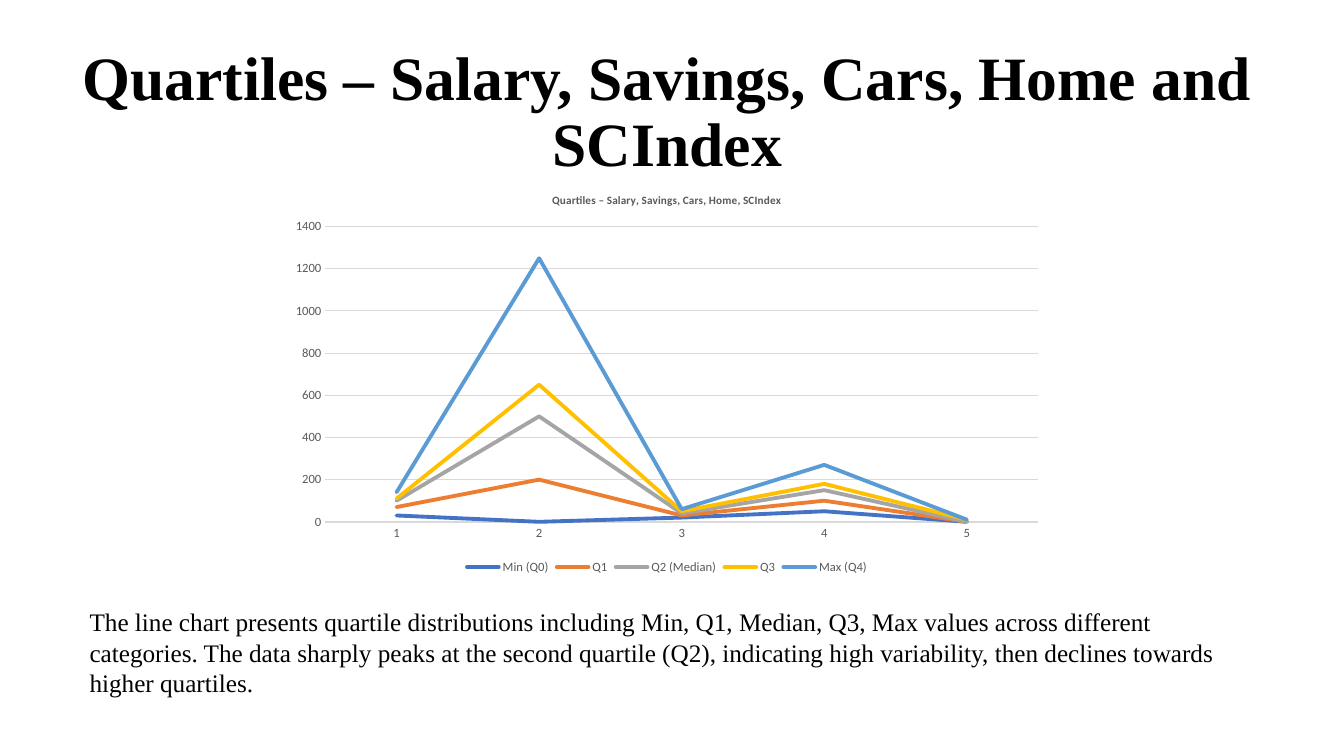
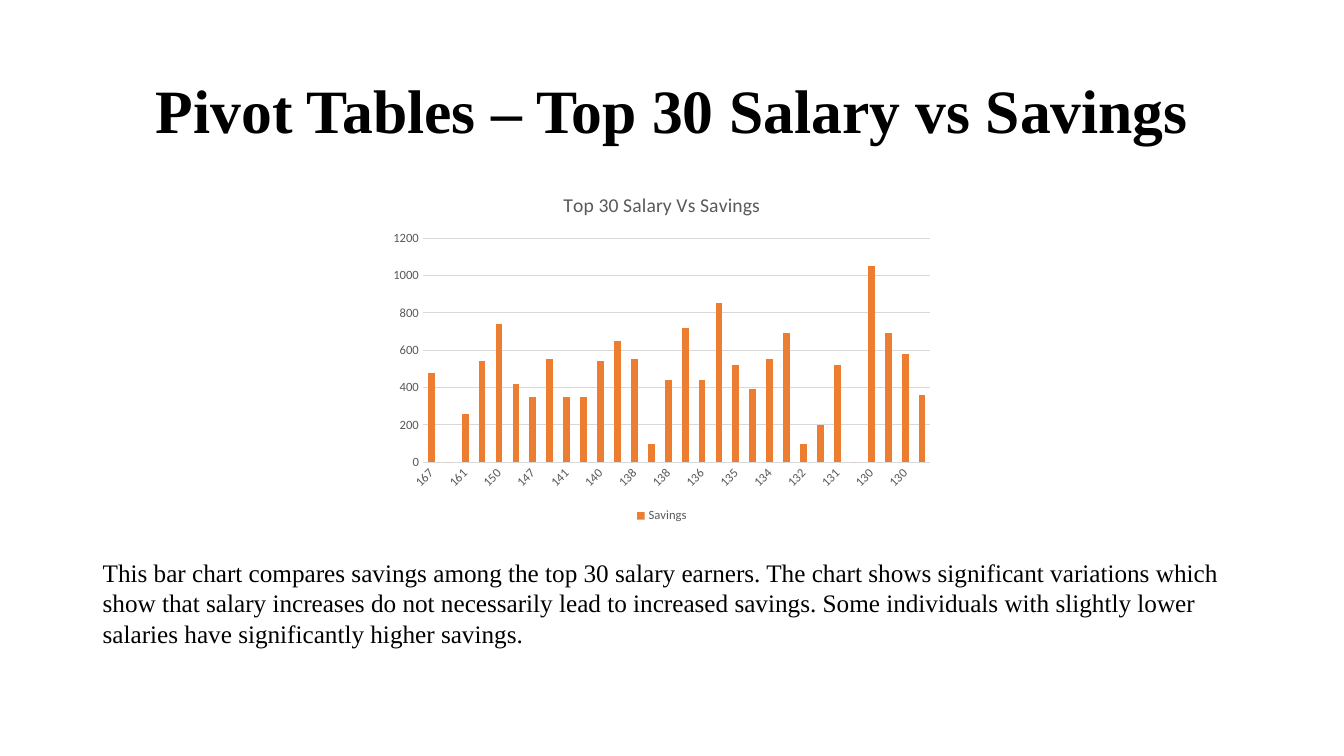
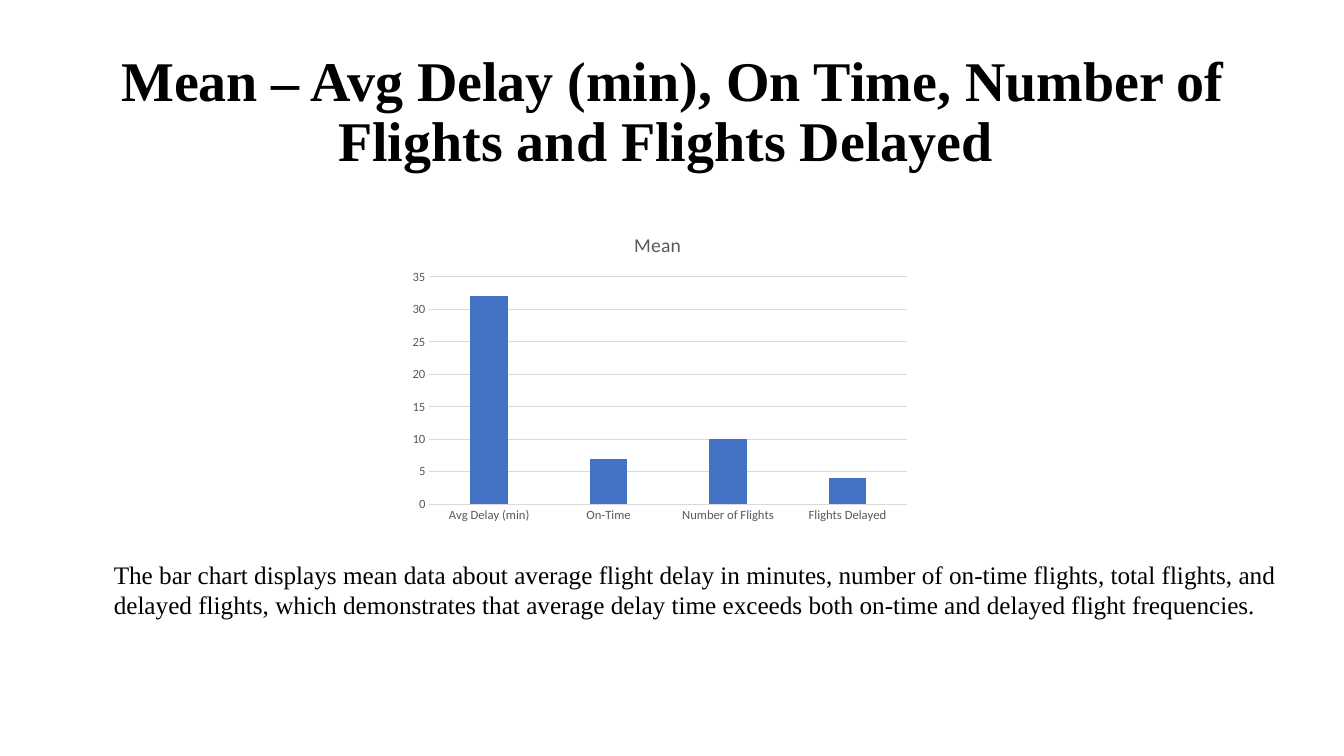
from dataclasses import dataclass

from pptx import Presentation
from pptx.chart.axis import CategoryAxis, ValueAxis
from pptx.chart.chart import Chart
from pptx.chart.data import CategoryChartData
from pptx.dml.color import RGBColor
from pptx.enum.chart import XL_CHART_TYPE, XL_LEGEND_POSITION, XL_TICK_MARK
from pptx.enum.text import MSO_ANCHOR, MSO_AUTO_SIZE, PP_ALIGN
from pptx.slide import Slide
from pptx.text.text import Font, TextFrame
from pptx.util import Inches, Pt

BODY_FONT = "Times New Roman"
CHART_FONT = "Calibri"
BLACK, GRAY, GRID = "000000", "595959", "D9D9D9"
BLUE, ORANGE, SILVER, GOLD, SKY = "4472C4", "ED7D31", "A5A5A5", "FFC000", "5B9BD5"

Box = tuple[float, float, float, float]


@dataclass(frozen=True)
class Series:
    name: str
    values: list[int]
    color: str


@dataclass(frozen=True)
class ChartSpec:
    kind: XL_CHART_TYPE
    box: Box
    title: str
    categories: list[str]
    series: list[Series]
    maximum: int
    step: int
    title_size: int = 14
    title_bold: bool = False
    legend: bool = True
    axis_line: float = 0
    gap: int = 150
    overlap: int = 0
    label_angle: int = 0


@dataclass(frozen=True)
class ChartSlide:
    title: str
    text: str
    text_box: Box
    chart: ChartSpec
    title_box: Box = (0.92, 0.4, 11.5, 1.45)
    title_size: int = 44


SLIDES = [
    ChartSlide(
        title="Quartiles – Salary, Savings, Cars, Home and SCIndex",
        title_box=(0.57, 0.4, 12.1, 1.45),
        text="The line chart presents quartile distributions including Min, Q1, Median, Q3, "
             "Max values across different categories. The data sharply peaks at the second "
             "quartile (Q2), indicating high variability, then declines towards higher quartiles.",
        text_box=(0.79, 5.97, 11.76, 1.01),
        chart=ChartSpec(
            kind=XL_CHART_TYPE.LINE,
            box=(2.78, 1.76, 7.67, 3.98),
            title="Quartiles – Salary, Savings, Cars, Home, SCIndex",
            title_size=8,
            title_bold=True,
            categories=["1", "2", "3", "4", "5"],
            series=[
                Series("Min (Q0)", [30, 0, 20, 50, 0], BLUE),
                Series("Q1", [70, 200, 30, 100, 0], ORANGE),
                Series("Q2 (Median)", [100, 500, 40, 150, 0], SILVER),
                Series("Q3", [110, 650, 50, 180, 10], GOLD),
                Series("Max (Q4)", [140, 1250, 60, 270, 10], SKY),
            ],
            maximum=1400,
            step=200,
            axis_line=1,
        ),
    ),
    ChartSlide(
        title="Pivot Tables – Top 30 Salary vs Savings",
        text="This bar chart compares savings among the top 30 salary earners. The chart shows "
             "significant variations which show that salary increases do not necessarily lead to "
             "increased savings. Some individuals with slightly lower salaries have "
             "significantly higher savings.",
        text_box=(0.92, 5.48, 11.5, 1.01),
        chart=ChartSpec(
            kind=XL_CHART_TYPE.COLUMN_CLUSTERED,
            box=(3.79, 1.74, 5.55, 3.49),
            title="Top 30 Salary Vs Savings",
            categories=(
                "167 161 161 157 150 148 147 144 141 140 140 139 138 138 138 "
                "137 136 136 135 135 134 133 132 132 131 131 130 130 130 130"
            ).split(),
            series=[Series("Savings", [
                480, 0, 260, 540, 740, 420, 350, 550, 350, 350,
                540, 650, 550, 100, 440, 720, 440, 850, 520, 390,
                550, 690, 100, 200, 520, 0, 1050, 690, 580, 360,
            ], ORANGE)],
            maximum=1200,
            step=200,
            label_angle=-45,
        ),
    ),
    ChartSlide(
        title="Mean – Avg Delay (min), On Time, Number of Flights and Flights Delayed ",
        title_size=40,
        text="The bar chart displays mean data about average flight delay in minutes, number of "
             "on-time flights, total flights, and delayed flights, which demonstrates that "
             "average delay time exceeds both on-time and delayed flight frequencies.",
        text_box=(1.03, 5.5, 12.01, 0.71),
        chart=ChartSpec(
            kind=XL_CHART_TYPE.COLUMN_CLUSTERED,
            box=(3.99, 2.14, 5.11, 3.11),
            title="Mean ",
            categories=["Avg Delay (min)", "On-Time", "Number of Flights", "Flights Delayed"],
            series=[Series("Mean ", [32, 7, 10, 4], BLUE)],
            maximum=35,
            step=5,
            legend=False,
            axis_line=0.75,
            gap=219,
            overlap=-27,
        ),
    ),
]


def rgb(color: str) -> RGBColor:
    return RGBColor.from_string(color)


def style_font(font: Font, name: str, size: float, color: str, bold: bool = False) -> None:
    font.name = name
    font.size = Pt(size)
    font.bold = bold
    font.color.rgb = rgb(color)


def add_text(slide: Slide, box: Box, text: str, size: float, bold: bool = False) -> TextFrame:
    frame = slide.shapes.add_textbox(*map(Inches, box)).text_frame
    frame.word_wrap = True
    run = frame.paragraphs[0].add_run()
    run.text = text
    style_font(run.font, BODY_FONT, size, BLACK, bold)
    return frame


def add_title(slide: Slide, content: ChartSlide) -> None:
    frame = add_text(slide, content.title_box, content.title, content.title_size, bold=True)
    frame.vertical_anchor = MSO_ANCHOR.MIDDLE
    frame.paragraphs[0].alignment = PP_ALIGN.CENTER
    frame.paragraphs[0].line_spacing = 0.9


def style_axis(axis: CategoryAxis | ValueAxis, line_width: float) -> None:
    """Style an axis; a line width of 0 hides its line."""
    axis.major_tick_mark = XL_TICK_MARK.NONE
    axis.minor_tick_mark = XL_TICK_MARK.NONE
    style_font(axis.tick_labels.font, CHART_FONT, 9, GRAY)
    if line_width:
        axis.format.line.color.rgb = rgb(GRID)
        axis.format.line.width = Pt(line_width)
    else:
        axis.format.line.fill.background()


def style_axes(chart: Chart, spec: ChartSpec) -> None:
    style_axis(chart.category_axis, spec.axis_line)
    if spec.label_angle:
        body = chart.category_axis._element.txPr.bodyPr
        body.set("rot", str(spec.label_angle * 60000))
        body.set("vert", "horz")

    value_axis = chart.value_axis
    style_axis(value_axis, 0)
    value_axis.minimum_scale = 0
    value_axis.maximum_scale = spec.maximum
    value_axis.major_unit = spec.step
    value_axis.tick_labels.number_format = "0"
    value_axis.tick_labels.number_format_is_linked = False
    value_axis.has_major_gridlines = True
    gridline = value_axis.major_gridlines.format.line
    gridline.color.rgb = rgb(GRID)
    gridline.width = Pt(0.75)


def style_series(chart: Chart, spec: ChartSpec) -> None:
    plot = chart.plots[0]
    plot.vary_by_categories = False
    is_line = spec.kind == XL_CHART_TYPE.LINE
    if not is_line:
        plot.gap_width = spec.gap
        plot.overlap = spec.overlap
    for series, data in zip(plot.series, spec.series):
        if is_line:
            series.smooth = False
            series.format.line.color.rgb = rgb(data.color)
            series.format.line.width = Pt(2.75)
            series.format.line._get_or_add_ln().set("cap", "rnd")
        else:
            series.invert_if_negative = False
            series.format.fill.solid()
            series.format.fill.fore_color.rgb = rgb(data.color)


def add_chart(slide: Slide, spec: ChartSpec) -> None:
    data = CategoryChartData()
    data.categories = spec.categories
    for series in spec.series:
        data.add_series(series.name, series.values)
    chart = slide.shapes.add_chart(spec.kind, *map(Inches, spec.box), data).chart
    style_font(chart.font, CHART_FONT, 10, BLACK)

    chart.has_title = True
    chart.chart_title.include_in_layout = False
    run = chart.chart_title.text_frame.paragraphs[0].add_run()
    run.text = spec.title
    style_font(run.font, CHART_FONT, spec.title_size, GRAY, spec.title_bold)

    chart.has_legend = spec.legend
    if spec.legend:
        chart.legend.position = XL_LEGEND_POSITION.BOTTOM
        chart.legend.include_in_layout = False
        style_font(chart.legend.font, CHART_FONT, 9, GRAY)

    style_axes(chart, spec)
    style_series(chart, spec)


def main() -> None:
    presentation = Presentation()
    presentation.slide_width = Inches(13.33)
    presentation.slide_height = Inches(7.5)
    blank = presentation.slide_layouts[6]
    for content in SLIDES:
        slide = presentation.slides.add_slide(blank)
        add_title(slide, content)
        add_chart(slide, content.chart)
        frame = add_text(slide, content.text_box, content.text, 18)
        frame.auto_size = MSO_AUTO_SIZE.SHAPE_TO_FIT_TEXT
    presentation.save("out.pptx")


if __name__ == "__main__":
    main()
